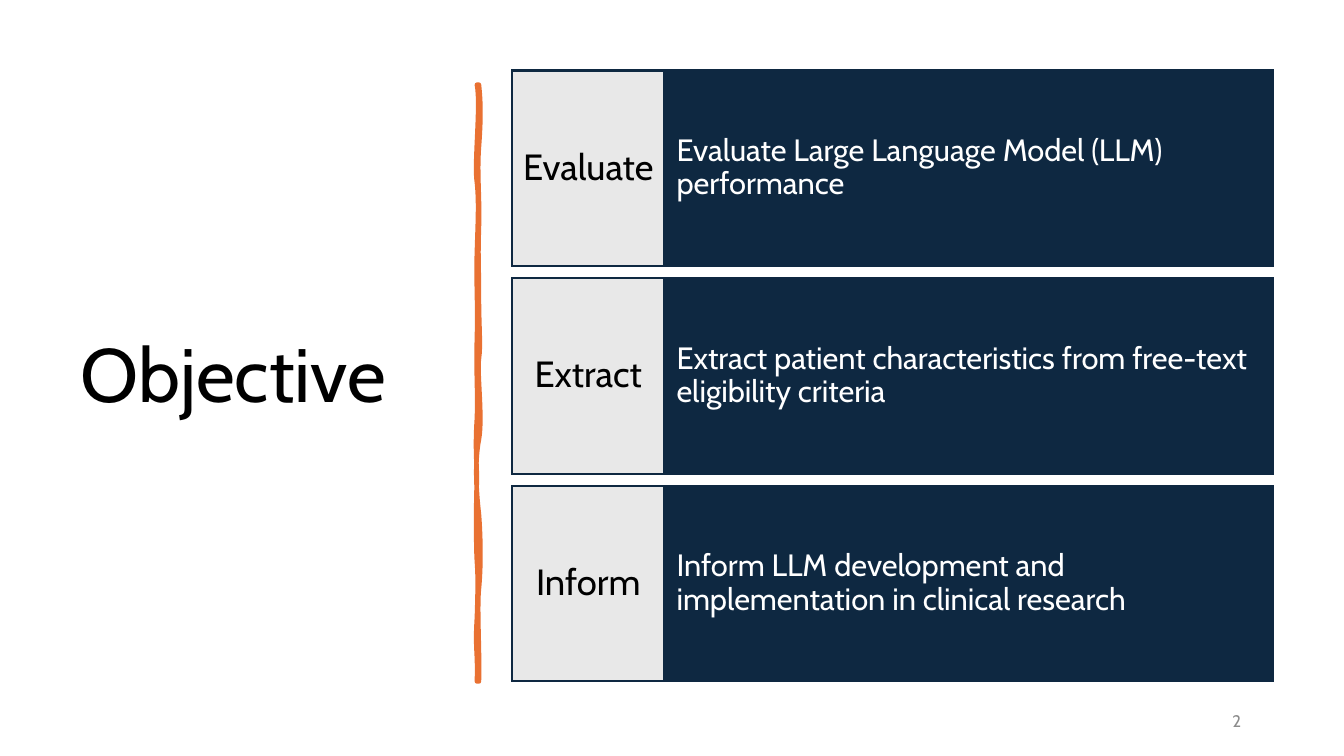
from lxml import etree
from pptx import Presentation
from pptx.dml.color import RGBColor
from pptx.enum.shapes import MSO_SHAPE
from pptx.enum.text import MSO_ANCHOR, PP_ALIGN
from pptx.oxml.ns import qn
from pptx.util import Pt

PX = 9144  # EMU per px, 100 px to the inch
FONT = "Cabin"
BLACK = RGBColor(0x00, 0x00, 0x00)
WHITE = RGBColor(0xFF, 0xFF, 0xFF)
NAVY = RGBColor(0x0E, 0x28, 0x41)
LIGHT_GREY = RGBColor(0xE8, 0xE8, 0xE8)
NUMBER_GREY = RGBColor(0x8C, 0x8C, 0x8C)
ORANGE = RGBColor(0xE9, 0x71, 0x32)
RECTANGLE = MSO_SHAPE.RECTANGLE
MIDDLE = MSO_ANCHOR.MIDDLE
LEFT, CENTER, RIGHT = PP_ALIGN.LEFT, PP_ALIGN.CENTER, PP_ALIGN.RIGHT

OBJECTIVES = [
    ("Evaluate", "Evaluate Large Language Model (LLM) performance"),
    ("Extract", "Extract patient characteristics from free-text eligibility criteria"),
    ("Inform", "Inform LLM development and implementation in clinical research"),
]
# Bézier segments (control, control, end) in px from the stroke's top left
STROKE_START = (2, 0)
STROKE_CURVES = [
    ((4, 18), (4, 35), (2, 62)),
    ((0, 89), (3, 111), (2, 142)),
    ((1, 173), (2, 178), (2, 210)),
    ((2, 241), (4, 258), (2, 272)),
    ((0, 286), (6, 330), (2, 352)),
    ((-2, 373), (-1, 400), (2, 426)),
    ((4, 452), (4, 480), (2, 500)),
    ((0, 519), (3, 566), (2, 592)),
    ((1, 592), (0, 592), (0, 592)),
    ((1, 562), (-2, 560), (0, 529)),
    ((1, 499), (1, 486), (0, 473)),
    ((-1, 460), (-1, 411), (0, 393)),
    ((0, 375), (-2, 361), (0, 331)),
    ((1, 302), (-1, 289), (0, 251)),
    ((1, 214), (-1, 197), (0, 166)),
    ((1, 134), (2, 116), (0, 97)),
    ((-3, 79), (4, 20), (0, 0)),
]


def write(shape, text, size, color, alignment=LEFT, insets=(10, 5), line_spacing=0.9):
    frame = shape.text_frame
    frame.word_wrap = True
    frame.vertical_anchor = MIDDLE
    frame.margin_left = frame.margin_right = insets[0] * PX
    frame.margin_top = frame.margin_bottom = insets[1] * PX
    frame.text = text
    paragraph = frame.paragraphs[0]
    paragraph.alignment = alignment
    paragraph.line_spacing = line_spacing
    font = paragraph.runs[0].font
    font.name, font.size, font.color.rgb = FONT, Pt(size), color


def add_text(slide, box, text, size, color, **options):
    shape = slide.shapes.add_textbox(*(length * PX for length in box))
    write(shape, text, size, color, **options)


def paint(shape, fill, line, line_width, join):
    shape.shadow.inherit = False
    shape.fill.solid()
    shape.fill.fore_color.rgb = fill
    shape.line.color.rgb = line
    shape.line.width = Pt(line_width)
    outline = shape.element.spPr.find(qn("a:ln"))
    etree.SubElement(outline, qn(join))


def add_panel(slide, box, fill):
    panel = slide.shapes.add_shape(RECTANGLE, *(round(length * PX) for length in box))
    paint(panel, fill, NAVY, 1.5, "a:miter")
    return panel


def add_objectives(slide, left, top, width, height):
    """Stack one row per objective: a grey keyword beside a navy statement."""
    row_height = 194
    keyword_width = width // 5
    pitch = (height - row_height) / (len(OBJECTIVES) - 1)
    for index, (keyword, statement) in enumerate(OBJECTIVES):
        row_top = top + index * pitch
        statement_box = (left + keyword_width, row_top, width - keyword_width, row_height)
        write(add_panel(slide, statement_box, NAVY), statement, 22, WHITE, insets=(12, 49))
        keyword_box = (left, row_top, keyword_width, row_height)
        write(add_panel(slide, keyword_box, LIGHT_GREY), keyword, 26, BLACK, CENTER, (8, 19))


def add_brush_stroke(slide, left, top):
    def place(point):
        return (left + point[0]) * PX, (top + point[1]) * PX

    builder = slide.shapes.build_freeform(*place(STROKE_START))
    builder.add_line_segments([place(curve[-1]) for curve in STROKE_CURVES], close=True)
    stroke = builder.convert_to_shape()
    segments = list(stroke.element.iter(qn("a:lnTo")))
    for segment, curve in zip(segments, STROKE_CURVES):
        bend = etree.Element(qn("a:cubicBezTo"))
        for x, y in curve:
            etree.SubElement(bend, qn("a:pt"), x=str(x * PX), y=str(y * PX))
        segment.getparent().replace(segment, bend)
    paint(stroke, ORANGE, ORANGE, 3.25, "a:round")


def build_objective_slide(presentation):
    slide = presentation.slides.add_slide(presentation.slide_layouts[6])
    add_text(slide, (70, 69, 374, 611), "Objective", 54, BLACK)
    add_brush_stroke(slide, 473, 84)
    add_text(slide, (941, 695, 300, 40), "2", 12, NUMBER_GREY, alignment=RIGHT, line_spacing=1.0)
    add_objectives(slide, 508, 70, 755, 606)


def main():
    presentation = Presentation()
    presentation.slide_width = 1333 * PX
    presentation.slide_height = 750 * PX
    build_objective_slide(presentation)
    presentation.save("out.pptx")


if __name__ == "__main__":
    main()
